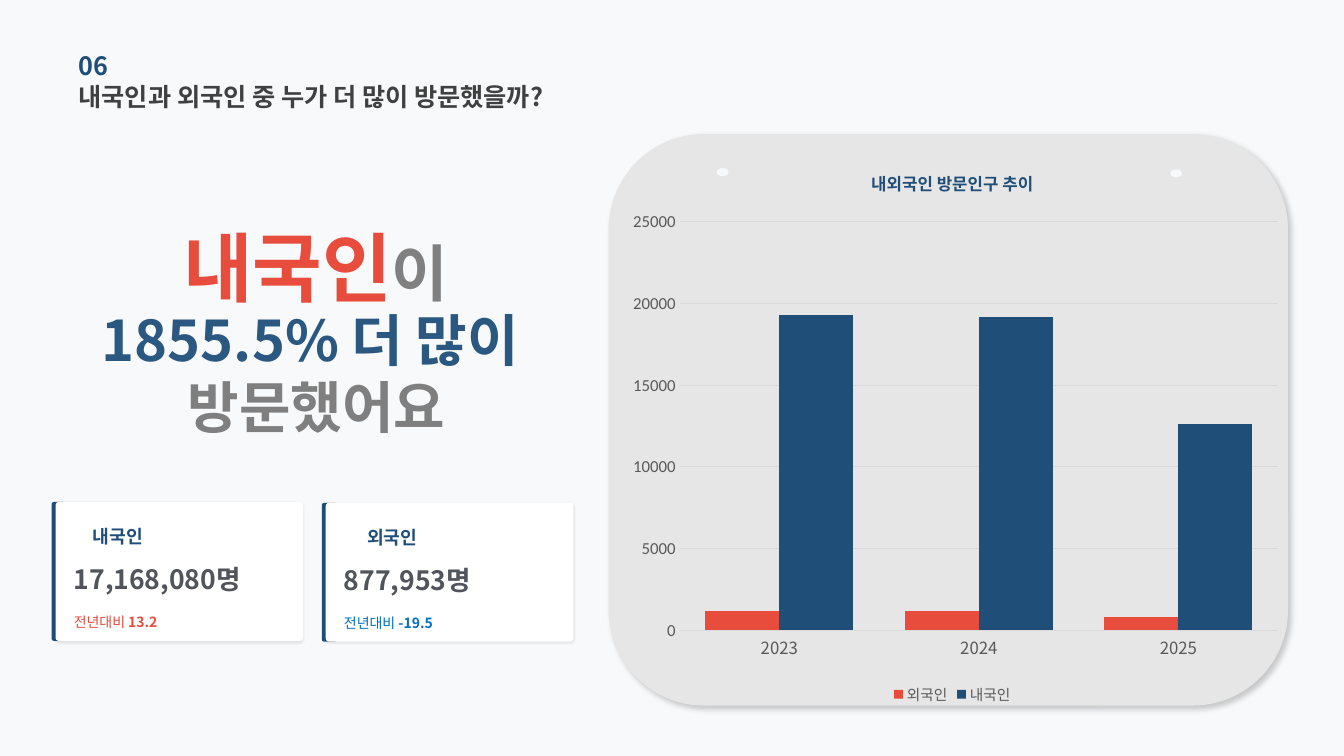
from lxml import etree
from pptx import Presentation
from pptx.chart.data import CategoryChartData
from pptx.dml.color import RGBColor
from pptx.enum.chart import XL_CHART_TYPE, XL_LEGEND_POSITION, XL_TICK_MARK
from pptx.enum.shapes import MSO_SHAPE
from pptx.enum.text import MSO_ANCHOR, PP_ALIGN
from pptx.oxml import parse_xml
from pptx.oxml.ns import nsdecls, qn
from pptx.util import Cm, Pt

KOREAN_FONT = "Noto Sans CJK KR"
NUMBER_FONT = "Calibri"
BACKGROUND = RGBColor(0xF8, 0xF9, 0xFA)
PANEL = RGBColor(0xE7, 0xE6, 0xE6)
WHITE = RGBColor(0xFF, 0xFF, 0xFF)
NAVY = RGBColor(0x1F, 0x4E, 0x79)
STEEL = RGBColor(0x2B, 0x58, 0x80)
RED = RGBColor(0xE7, 0x4C, 0x3C)
BLUE = RGBColor(0x00, 0x70, 0xC0)
TITLE_GRAY = RGBColor(0x40, 0x40, 0x40)
VALUE_GRAY = RGBColor(0x51, 0x54, 0x5A)
HEADLINE_GRAY = RGBColor(0x80, 0x80, 0x80)
CLOSING_GRAY = RGBColor(0x7F, 0x7F, 0x7F)
AXIS_GRAY = RGBColor(0x59, 0x59, 0x59)
GRID_GRAY = RGBColor(0xD9, 0xD9, 0xD9)


class SlideBuilder:
    """Holds the slide and the style shared by its elements."""

    def __init__(self, presentation):
        self.slide = presentation.slides.add_slide(presentation.slide_layouts[5])
        self.slide.background.fill.solid()
        self.slide.background.fill.fore_color.rgb = BACKGROUND

    def style_font(self, font, size, color, bold=False, name=KOREAN_FONT):
        font.size = Pt(size)
        font.bold = bold
        font.color.rgb = color
        font.name = name

    def fill_frame(self, frame, paragraphs, align=PP_ALIGN.LEFT):
        """Fill a frame; each paragraph is a list of (text, size, color, bold)."""
        frame.word_wrap = True
        frame.vertical_anchor = MSO_ANCHOR.MIDDLE
        frame.margin_left = frame.margin_right = 0
        frame.margin_top = frame.margin_bottom = 0
        for index, runs in enumerate(paragraphs):
            paragraph = frame.add_paragraph() if index else frame.paragraphs[0]
            paragraph.alignment = align
            for text, size, color, bold in runs:
                run = paragraph.add_run()
                run.text = text
                self.style_font(run.font, size, color, bold)
                latin = run.font._element.find(qn("a:latin"))
                east_asian = etree.Element(qn("a:ea"), typeface=KOREAN_FONT)
                latin.addnext(east_asian)

    def title(self, left, top, width, height, text):
        shape = self.slide.shapes.title
        shape.left, shape.top = Cm(left), Cm(top)
        shape.width, shape.height = Cm(width), Cm(height)
        self.fill_frame(shape.text_frame, [[(text, 18, TITLE_GRAY, True)]])

    def text(self, left, top, width, height, paragraphs, align=PP_ALIGN.LEFT):
        box = self.slide.shapes.add_textbox(Cm(left), Cm(top), Cm(width), Cm(height))
        self.fill_frame(box.text_frame, paragraphs, align)

    def shape(self, kind, left, top, width, height, color, corner=None, shadow=None):
        """Add a filled shape; shadow is (opacity %, blur, distance, angle)."""
        shape = self.slide.shapes.add_shape(kind, Cm(left), Cm(top), Cm(width), Cm(height))
        shape.fill.solid()
        shape.fill.fore_color.rgb = color
        shape.line.fill.background()
        shape.shadow.inherit = False
        if corner is not None:
            shape.adjustments[0] = corner
        if shadow:
            opacity, blur, distance, angle = shadow
            effects = shape._element.spPr.find(qn("a:effectLst"))
            effects.append(parse_xml(
                f'<a:outerShdw {nsdecls("a")} blurRad="{Pt(blur)}" dist="{Pt(distance)}" '
                f'dir="{angle * 60000}" algn="ctr" rotWithShape="0"><a:srgbClr val="000000">'
                f'<a:alpha val="{opacity * 1000}"/></a:srgbClr></a:outerShdw>'))

    def card(self, left, top, name, name_indent, value, change, change_color):
        self.shape(MSO_SHAPE.ROUNDED_RECTANGLE, left - 0.1, top, 0.38, 3.5, NAVY)
        self.shape(MSO_SHAPE.ROUNDED_RECTANGLE, left, top, 6.24, 3.5, WHITE,
                   corner=0.023, shadow=(10, 2, 1, 90))
        self.text(left + name_indent, top + 0.5, 1.65, 0.71, [[(name, 13, NAVY, True)]])
        self.text(left + 0.46, top + 1.45, 6.4, 0.99, [[(value, 19, VALUE_GRAY, True)]])
        self.text(left + 0.46, top + 2.46, 6.4, 1.14,
                  [[("전년대비 ", 10, change_color, False), (change, 10, change_color, True)]])

    def column_chart(self, left, top, width, height, title, categories, series):
        """Add clustered columns; series is a list of (name, values, color)."""
        data = CategoryChartData()
        data.categories = categories
        for name, values, _ in series:
            data.add_series(name, values)
        chart = self.slide.shapes.add_chart(
            XL_CHART_TYPE.COLUMN_CLUSTERED, Cm(left), Cm(top), Cm(width), Cm(height), data).chart
        chart.font.size = Pt(10)
        chart.font.name = NUMBER_FONT

        chart.has_title = True
        run = chart.chart_title.text_frame.paragraphs[0].add_run()
        run.text = title
        self.style_font(run.font, 12, NAVY, True)
        chart.chart_title.include_in_layout = False

        chart.has_legend = True
        chart.legend.position = XL_LEGEND_POSITION.BOTTOM
        chart.legend.include_in_layout = False
        self.style_font(chart.legend.font, 10.5, AXIS_GRAY)

        plot = chart.plots[0]
        plot.gap_width = 70
        plot.overlap = 0
        plot.vary_by_categories = False
        for plot_series, (_, _, color) in zip(plot.series, series):
            plot_series.format.fill.solid()
            plot_series.format.fill.fore_color.rgb = color

        category_axis, value_axis = chart.category_axis, chart.value_axis
        for axis, font_name in ((category_axis, KOREAN_FONT), (value_axis, NUMBER_FONT)):
            axis.major_tick_mark = axis.minor_tick_mark = XL_TICK_MARK.NONE
            self.style_font(axis.tick_labels.font, 12, AXIS_GRAY, name=font_name)
        value_axis.minimum_scale = 0
        value_axis.maximum_scale = 25000
        value_axis.major_unit = 5000
        value_axis.format.line.fill.background()
        for line in (category_axis.format.line, value_axis.major_gridlines.format.line):
            line.color.rgb = GRID_GRAY
            line.width = Pt(0.75)
        self.place_plot(chart, x=0.09, y=0.13, w=0.9, h=0.73)

    def place_plot(self, chart, **fractions):
        """Fix the inner plot area as fractions of the chart."""
        plot_area = chart._chartSpace.chart.plotArea
        for layout in plot_area.findall(qn("c:layout")):
            plot_area.remove(layout)
        layout = etree.Element(qn("c:layout"))
        manual = etree.SubElement(layout, qn("c:manualLayout"))
        settings = {"layoutTarget": "inner", "xMode": "edge", "yMode": "edge", **fractions}
        for tag, value in settings.items():
            etree.SubElement(manual, qn(f"c:{tag}"), val=str(value))
        plot_area.insert(0, layout)


def main():
    presentation = Presentation()
    presentation.slide_width, presentation.slide_height = Cm(33.87), Cm(19.05)
    builder = SlideBuilder(presentation)

    builder.title(1.98, 1.91, 13.41, 1.04, "내국인과 외국인 중 누가 더 많이 방문했을까?")
    builder.text(1.98, 1.12, 11.48, 1.04, [[("06", 18, NAVY, True)]])

    builder.text(2.51, 6.1, 10.9, 1.22,
                 [[("내국인", 54, RED, True), ("이", 44, HEADLINE_GRAY, True)]], PP_ALIGN.CENTER)
    builder.text(0.97, 8.33, 14.02, 2.13,
                 [[("1855.5% 더 많이 ", 40, STEEL, True)],
                  [("방문했어요", 40, CLOSING_GRAY, True)]], PP_ALIGN.CENTER)

    builder.card(1.4, 12.65, "내국인", 0.94, "17,168,080명", "13.2", RED)
    builder.card(8.21, 12.67, "외국인", 1.04, "877,953명", "-19.5", BLUE)

    builder.shape(MSO_SHAPE.ROUNDED_RECTANGLE, 15.34, 3.38, 17.12, 14.4, PANEL,
                  shadow=(20, 4, 3, 45))
    for left, top in ((18.06, 4.24), (29.49, 4.27)):
        builder.shape(MSO_SHAPE.OVAL, left, top, 0.3, 0.2, BACKGROUND)
    builder.column_chart(15.62, 3.76, 16.76, 14.1, "내외국인 방문인구 추이",
                         ["2023", "2024", "2025"],
                         [("외국인", (1200, 1200, 800), RED),
                          ("내국인", (19300, 19200, 12600), NAVY)])
    presentation.save("out.pptx")


if __name__ == "__main__":
    main()
